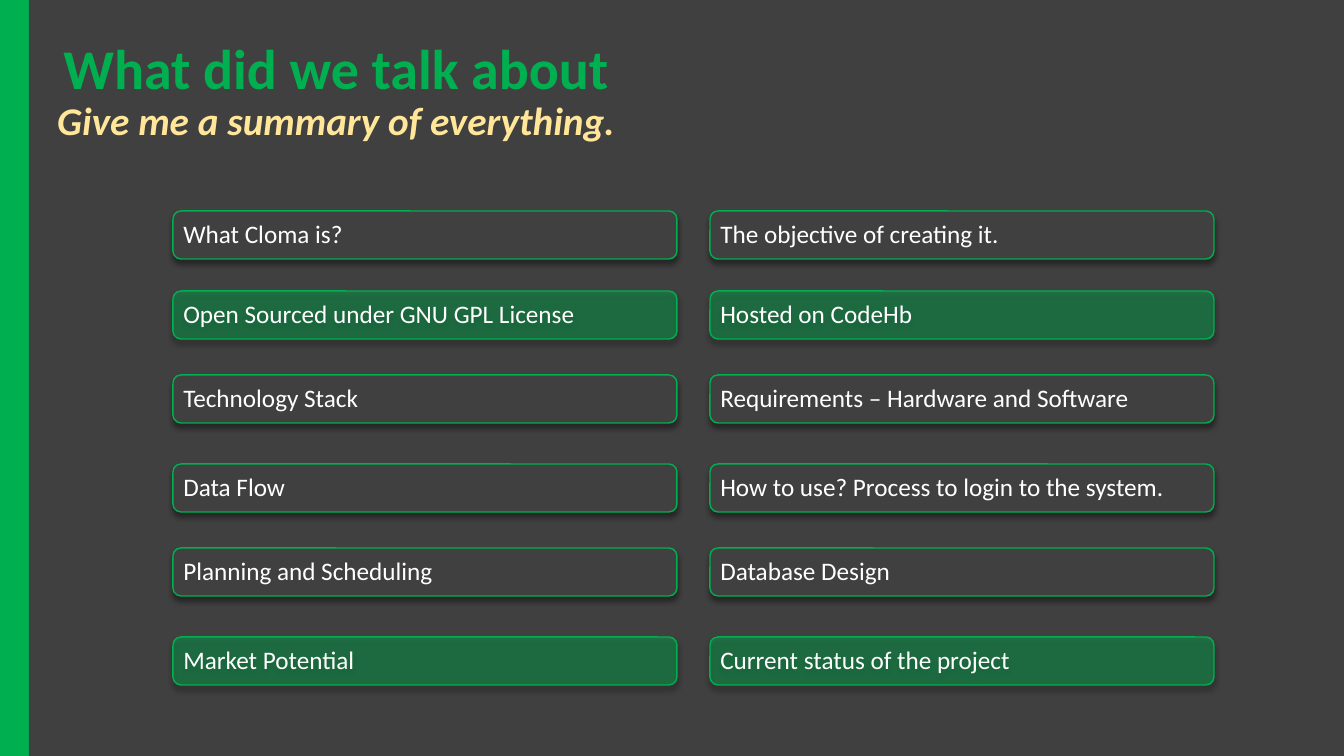
import pptx
import pptx.dml.color
import pptx.enum.shapes
import pptx.enum.text
import pptx.oxml.ns
import pptx.util
from lxml import etree

PX_PER_INCH = 100.8
GREEN, DARK, CREAM, WHITE = "00B050", "404040", "FFE699", "FFFFFF"
SHAPE = pptx.enum.shapes.MSO_SHAPE
ANCHOR = pptx.enum.text.MSO_ANCHOR
ALIGN = pptx.enum.text.PP_ALIGN

COLUMN_LEFTS = (173, 710)
CARD_WIDTH, CARD_HEIGHT = 504, 48
# top, highlighted, left topic, right topic
TOPIC_ROWS = (
    (211, False, "What Cloma is?", "The objective of creating it."),
    (291, True, "Open Sourced under GNU GPL License", "Hosted on CodeHb"),
    (375, False, "Technology Stack", "Requirements – Hardware and Software"),
    (464, False, "Data Flow", "How to use? Process to login to the system."),
    (548, False, "Planning and Scheduling", "Database Design"),
    (637, True, "Market Potential", "Current status of the project"),
)


def px(length):
    return pptx.util.Emu(round(length * 914400 / PX_PER_INCH))


def rgb(value):
    return pptx.dml.color.RGBColor.from_string(value)


def add_child(parent, tag, **attributes):
    child = etree.SubElement(parent, pptx.oxml.ns.qn(tag))
    for key, value in attributes.items():
        child.set(key, str(value))
    return child


def add_text(paragraph, text, size=18, color=WHITE, bold=False, italic=False):
    run = paragraph.add_run()
    run.text = text
    font = run.font
    font.name = "Calibri"
    font.size = pptx.util.Pt(size)
    font.color.rgb = rgb(color)
    font.bold, font.italic = bold, italic


def add_block(slide, kind, left, top, width, height, fill):
    block = slide.shapes.add_shape(kind, px(left), px(top), px(width), px(height))
    block.shadow.inherit = False
    block.fill.solid()
    block.fill.fore_color.rgb = rgb(fill)
    block.line.fill.background()
    return block


def set_opacity(shape, percent):
    color = shape.fill._xPr.find(".//" + pptx.oxml.ns.qn("a:srgbClr"))
    add_child(color, "a:alpha", val=percent * 1000)


def add_drop_shadow(shape):
    effects = shape._element.spPr.find(pptx.oxml.ns.qn("a:effectLst"))
    shadow = add_child(effects, "a:outerShdw", blurRad=pptx.util.Pt(4),
                       dist=pptx.util.Pt(3), dir=90 * 60000, rotWithShape=0)
    color = add_child(shadow, "a:srgbClr", val="000000")
    add_child(color, "a:alpha", val=40000)


def add_topic_card(slide, left, top, topic, highlighted):
    card = add_block(slide, SHAPE.ROUNDED_RECTANGLE, left, top, CARD_WIDTH,
                     CARD_HEIGHT, GREEN if highlighted else DARK)
    if highlighted:
        set_opacity(card, 44)
    card.line.color.rgb = rgb(GREEN)
    card.line.width = pptx.util.Pt(1)
    add_drop_shadow(card)
    frame = card.text_frame
    frame.word_wrap = True
    frame.vertical_anchor = ANCHOR.MIDDLE
    # The rounded corners already inset the text by about 2 px.
    frame.margin_left = frame.margin_right = px(8)
    frame.margin_top = frame.margin_bottom = px(8)
    paragraph = frame.paragraphs[0]
    paragraph.alignment = ALIGN.LEFT
    paragraph.line_spacing = 0.9
    add_text(paragraph, topic)


def add_heading(slide, title, subtitle):
    heading = slide.shapes.add_textbox(px(20), px(30), px(632), px(119))
    frame = heading.text_frame
    frame.word_wrap = True
    frame.vertical_anchor = ANCHOR.BOTTOM
    paragraph = frame.paragraphs[0]
    paragraph.alignment = ALIGN.CENTER
    paragraph.line_spacing = 0.9
    add_text(paragraph, title, size=40, color=GREEN, bold=True)
    paragraph.add_line_break()
    add_text(paragraph, subtitle, size=28, color=CREAM, bold=True, italic=True)


def main():
    deck = pptx.Presentation()
    deck.slide_width, deck.slide_height = px(1344), px(756)
    slide = deck.slides.add_slide(deck.slide_layouts[6])

    add_block(slide, SHAPE.RECTANGLE, 0, 0, 69, 756, GREEN)
    add_block(slide, SHAPE.RECTANGLE, 29, 0, 1315, 756, DARK)
    add_heading(slide, "What did we talk about", "Give me a summary of everything.")
    for top, highlighted, *topics in TOPIC_ROWS:
        for left, topic in zip(COLUMN_LEFTS, topics):
            add_topic_card(slide, left, top, topic, highlighted)

    deck.save("out.pptx")


if __name__ == "__main__":
    main()
